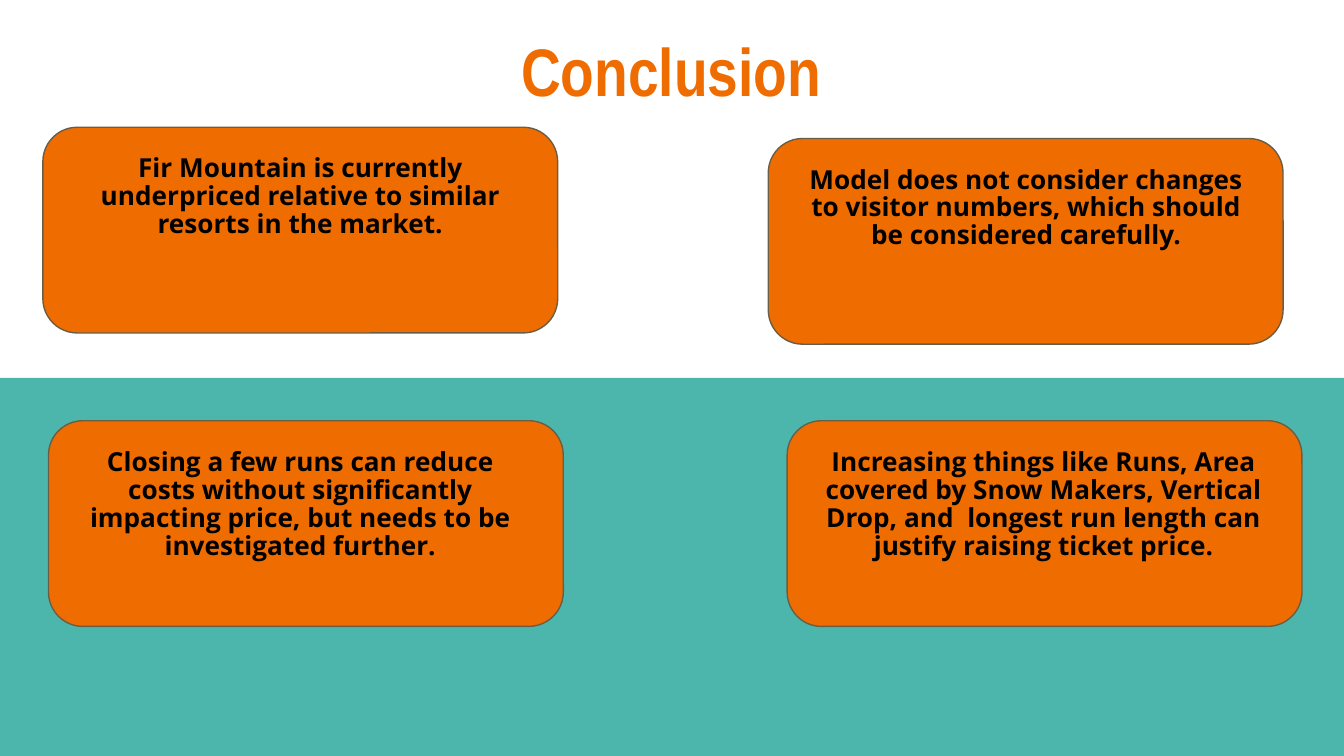
import pptx
import pptx.util
import pptx.dml.color
import pptx.enum.shapes
import pptx.enum.text

Pt = pptx.util.Pt
ORANGE, TEAL, BROWN, BLACK = "EF6C00", "4DB6AC", "695D46", "000000"
CARD_WIDTH, CARD_HEIGHT = 275.8, 110.2
TEXT_WIDTH, TEXT_HEIGHT = 255.6, 95
TEXT_DROP = 7.9


def colour(code):
    return pptx.dml.color.RGBColor.from_string(code)


def write(box, text, *, font="Open Sans", size=14, ink=BLACK, bold=True,
          anchor=pptx.enum.text.MSO_ANCHOR.TOP, spacing=0.89):
    frame = box.text_frame
    frame.word_wrap = True
    frame.vertical_anchor = anchor
    frame.margin_left = frame.margin_right = Pt(7.2)
    frame.margin_top = frame.margin_bottom = Pt(7.2)
    para = frame.paragraphs[0]
    para.alignment = pptx.enum.text.PP_ALIGN.CENTER
    para.line_spacing = spacing
    span = para.add_run()
    span.text = text
    span.font.name = font
    span.font.size = Pt(size)
    span.font.bold = bold
    span.font.color.rgb = colour(ink)


class Painter:
    """Draws styled elements on the current slide."""

    def __init__(self, page):
        self.page = page

    def shape(self, kind, left, top, width, height, fill, line=None):
        shape = self.page.shapes.add_shape(
            kind, Pt(left), Pt(top), Pt(width), Pt(height))
        shape.shadow.inherit = False
        shape.fill.solid()
        shape.fill.fore_color.rgb = colour(fill)
        if line:
            shape.line.color.rgb = colour(line)
            shape.line.width = Pt(0.75)
        else:
            shape.line.fill.background()
        return shape

    def text(self, left, top, width, height, text, **style):
        box = self.page.shapes.add_textbox(
            Pt(left), Pt(top), Pt(width), Pt(height))
        write(box, text, **style)

    def card(self, left, top, text_left, text):
        card = self.shape(pptx.enum.shapes.MSO_SHAPE.ROUNDED_RECTANGLE,
                          left, top, CARD_WIDTH, CARD_HEIGHT, ORANGE, BROWN)
        card.adjustments[0] = 0.167
        self.text(text_left, top + TEXT_DROP, TEXT_WIDTH, TEXT_HEIGHT, text)


def main():
    deck = pptx.Presentation()
    deck.slide_width, deck.slide_height = Pt(720), Pt(405)
    page = deck.slides.add_slide(deck.slide_layouts[6])
    painter = Painter(page)

    # Lower half of the background
    painter.shape(pptx.enum.shapes.MSO_SHAPE.RECTANGLE,
                  0, 202.5, 720, 202.5, TEAL)

    # Title
    painter.text(22.3, 0, 674.6, 74.2, "Conclusion", font="Arial Narrow",
                 size=36, ink=ORANGE, spacing=1,
                 anchor=pptx.enum.text.MSO_ANCHOR.MIDDLE)

    # Conclusion cards: card left, card top, text left, text
    cards = [
        (23, 68.2, 33.1, "Fir Mountain is currently underpriced relative to "
         "similar resorts in the market."),
        (26, 225.4, 33.1, "Closing a few runs can reduce costs without "
         "significantly impacting price, but needs to be investigated "
         "further."),
        (421.7, 225.4, 431.3, "Increasing things like Runs, Area covered by "
         "Snow Makers, Vertical Drop, and  longest run length can justify "
         "raising ticket price."),
        (411.6, 74.2, 421.9, "Model does not consider changes to visitor "
         "numbers, which should be considered carefully."),
    ]
    for card in cards:
        painter.card(*card)

    deck.save("out.pptx")


if __name__ == "__main__":
    main()
